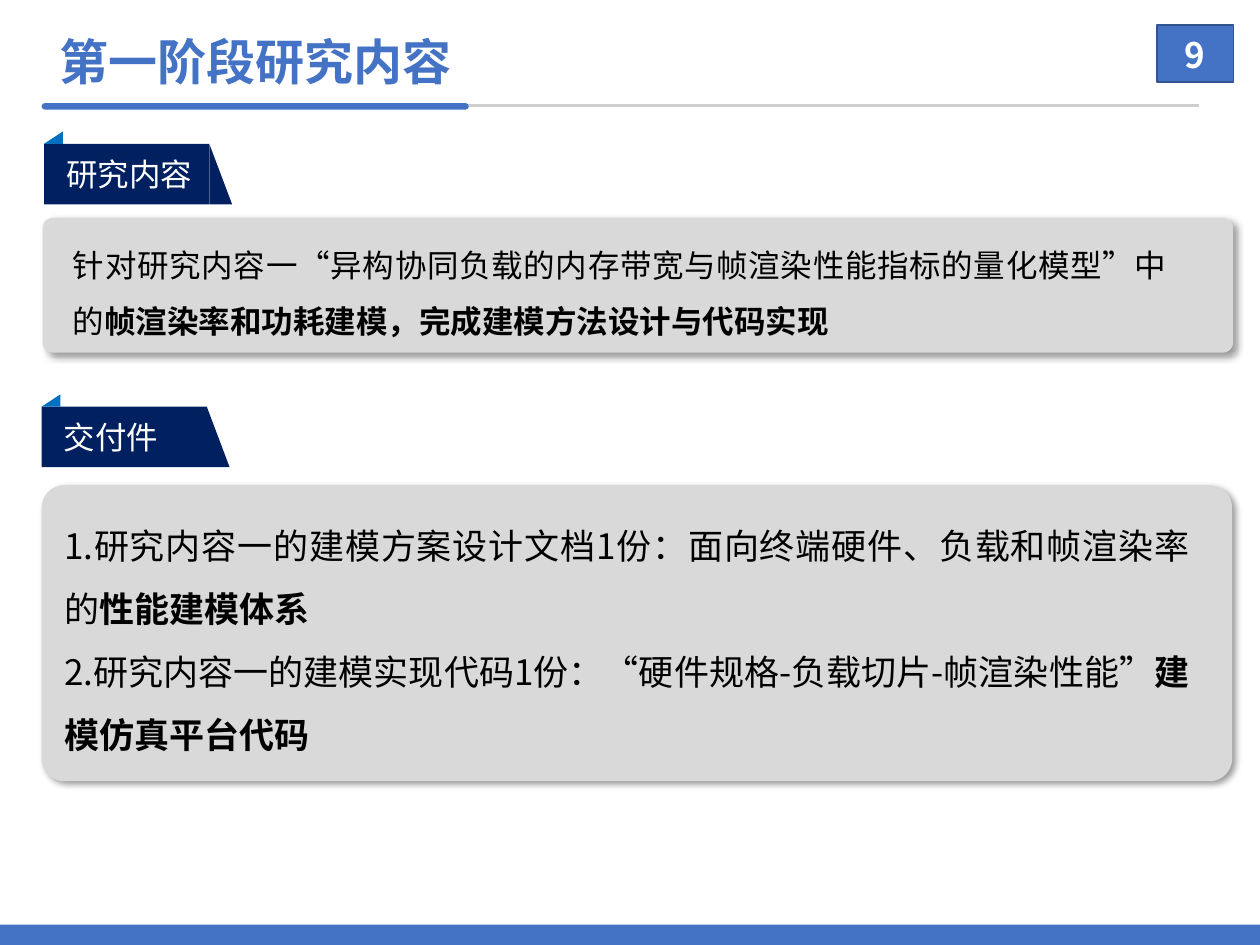
from lxml import etree
from pptx import Presentation
from pptx.dml.color import RGBColor
from pptx.enum.lang import MSO_LANGUAGE_ID
from pptx.enum.shapes import MSO_CONNECTOR, MSO_SHAPE
from pptx.enum.text import MSO_ANCHOR, MSO_AUTO_SIZE, PP_ALIGN
from pptx.oxml.ns import qn
from pptx.util import Cm, Pt

RECTANGLE = MSO_SHAPE.RECTANGLE
ROUNDED = MSO_SHAPE.ROUNDED_RECTANGLE
TRIANGLE = MSO_SHAPE.RIGHT_TRIANGLE
STRAIGHT = MSO_CONNECTOR.STRAIGHT
LEFT, CENTER, JUSTIFY = PP_ALIGN.LEFT, PP_ALIGN.CENTER, PP_ALIGN.JUSTIFY
TOP, MIDDLE = MSO_ANCHOR.TOP, MSO_ANCHOR.MIDDLE
FIT_SHAPE = MSO_AUTO_SIZE.SHAPE_TO_FIT_TEXT
CHINESE = MSO_LANGUAGE_ID.SIMPLIFIED_CHINESE

FONT = "Noto Sans CJK SC"
BLUE = RGBColor(0x44, 0x72, 0xC4)
BLUE_EDGE = RGBColor(0x32, 0x54, 0x91)
NAVY = RGBColor(0x00, 0x20, 0x60)
SKY = RGBColor(0x00, 0x70, 0xC0)
PANEL_GRAY = RGBColor(0xD9, 0xD9, 0xD9)
RULE_GRAY = RGBColor(0xD0, 0xCE, 0xCE)
WHITE = RGBColor(0xFF, 0xFF, 0xFF)
BLACK = RGBColor(0x00, 0x00, 0x00)

# Each paragraph is a list of (text, bold) spans
TITLE = [[("第一阶段研究内容", True)]]
RESEARCH = [[
    ("针对研究内容一“异构协同负载的内存带宽与帧渲染性能指标的量化模型”中的", False),
    ("帧渲染率和功耗建模，完成建模方法设计与代码实现", True),
]]
DELIVERABLES = [
    [("1.研究内容一的建模方案设计文档1份：面向终端硬件、负载和帧渲染率的", False),
     ("性能建模体系", True)],
    [("2.研究内容一的建模实现代码1份：“硬件规格-负载切片-帧渲染性能”", False),
     ("建模仿真平台代码", True)],
]


def place(box, left, top, width, height):
    box.left, box.top, box.width, box.height = Cm(left), Cm(top), Cm(width), Cm(height)


def add_block(page, kind, left, top, width, height, color):
    block = page.shapes.add_shape(kind, Cm(left), Cm(top), Cm(width), Cm(height))
    block.shadow.inherit = False
    block.fill.solid()
    block.fill.fore_color.rgb = color
    block.line.fill.background()
    return block


def style_span(span, size, color, bold):
    font = span.font
    font.size, font.bold, font.name = Pt(size), bold, FONT
    font.color.rgb = color
    font.language_id = CHINESE
    east_asian = etree.Element(qn("a:ea"), typeface=FONT)
    span._r.rPr.find(qn("a:latin")).addnext(east_asian)


def write(box, paragraphs, size, color, align=LEFT, spacing=1.0, anchor=TOP):
    frame = box.text_frame
    frame.word_wrap = True
    frame.auto_size = FIT_SHAPE
    frame.vertical_anchor = anchor
    for index, spans in enumerate(paragraphs):
        para = frame.add_paragraph() if index else frame.paragraphs[0]
        properties = para._p.get_or_add_pPr()
        properties.set("marL", "0")
        properties.set("indent", "0")
        etree.SubElement(properties, qn("a:buNone"))
        para.alignment = align
        para.line_spacing = spacing
        para.space_before = Pt(0)
        for text, bold in spans:
            span = para.add_run()
            span.text = text
            style_span(span, size, color, bold)


def add_text(page, left, top, width, height, paragraphs, size, color, **options):
    box = page.shapes.add_textbox(Cm(left), Cm(top), Cm(width), Cm(height))
    write(box, paragraphs, size, color, **options)


def add_rule(page, start, end, height):
    rule = page.shapes.add_connector(STRAIGHT, Cm(start), Cm(height), Cm(end), Cm(height))
    rule.line.color.rgb = RULE_GRAY
    rule.line.width = Pt(1.5)
    etree.SubElement(rule._element.spPr, qn("a:effectLst"))


def add_section_label(page, left, top, text):
    width, height, fold_height = 3.33, 1.22, 0.25
    add_block(page, RECTANGLE, left, top, width, height, NAVY)
    add_block(page, TRIANGLE, left + width, top, 0.46, height, NAVY)
    fold = add_block(page, TRIANGLE, left, top - fold_height, 0.38, fold_height, SKY)
    fold._element.spPr.find(qn("a:xfrm")).set("flipH", "1")
    add_text(page, left + 0.2, top + 0.1, 3.15, 1.02, [[(text, False)]], 18, WHITE)


def add_panel(page, left, top, height):
    panel = add_block(page, ROUNDED, left, top, 24, height, PANEL_GRAY)
    panel.adjustments[0] = 0.077
    effects = panel._element.spPr.find(qn("a:effectLst"))
    shadow = etree.SubElement(
        effects, qn("a:outerShdw"), blurRad=str(Pt(4)), dist=str(Pt(3)),
        dir=str(45 * 60000), algn="tl", rotWithShape="0")
    color = etree.SubElement(shadow, qn("a:srgbClr"), val=str(BLACK))
    etree.SubElement(color, qn("a:alpha"), val="40000")


def bring_to_front(box):
    box._element.getparent().append(box._element)


def main():
    deck = Presentation()
    deck.slide_width, deck.slide_height = Cm(25.4), Cm(19.05)
    page = deck.slides.add_slide(deck.slide_layouts[1])
    title, body = page.placeholders

    # Page number, footer bar and heading rule
    badge = add_block(page, RECTANGLE, 23.32, 0.51, 1.55, 1.14, BLUE)
    badge.line.color.rgb = BLUE_EDGE
    badge.line.width = Pt(1)
    add_block(page, RECTANGLE, 0, 18.64, 25.4, 0.41, BLUE)
    add_rule(page, 1.4, 24.18, 2.13)
    add_text(page, 23.32, 0.58, 1.55, 1.02, [[("9", True)]], 20, WHITE,
             align=CENTER, anchor=MIDDLE)
    underline = add_block(page, ROUNDED, 0.84, 2.08, 8.61, 0.13, BLUE)
    underline.adjustments[0] = 0.5

    # Title
    place(title, 0.69, 0.51, 8.92, 1.45)
    write(title, TITLE, 28, BLUE, align=CENTER)
    bring_to_front(title)

    # Research content
    add_section_label(page, 0.89, 2.9, "研究内容")
    add_panel(page, 0.86, 4.39, 2.72)
    add_text(page, 1.22, 4.45, 22.56, 2.44, RESEARCH, 18, BLACK,
             align=JUSTIFY, spacing=1.5)

    # Deliverables
    add_section_label(page, 0.84, 8.2, "交付件")
    add_panel(page, 0.84, 9.78, 5.97)
    place(body, 1.04, 10.03, 23.19, 5.23)
    write(body, DELIVERABLES, 20, BLACK, align=JUSTIFY, spacing=1.5)
    bring_to_front(body)

    deck.save("out.pptx")


if __name__ == "__main__":
    main()
